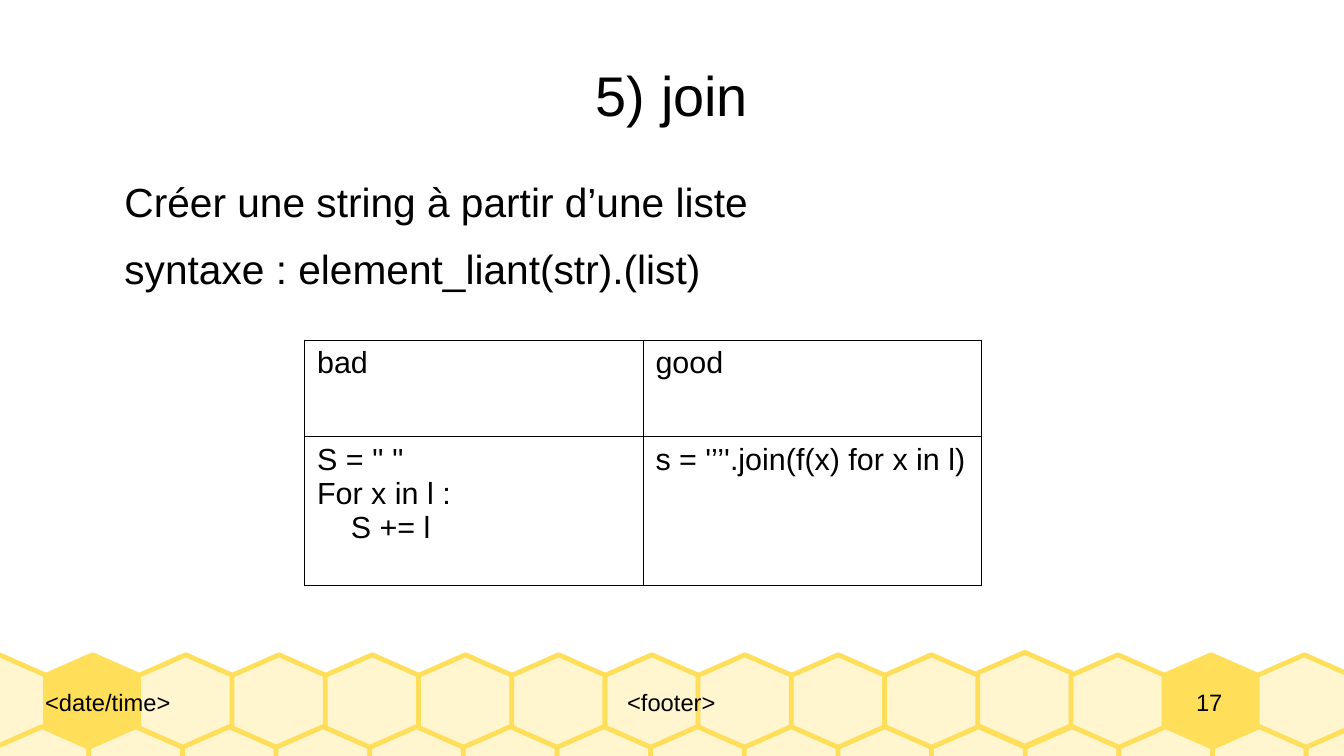
import pptx
import pptx.dml.color
import pptx.enum.text
import pptx.oxml
import pptx.oxml.ns
import pptx.util
from pptx.util import Inches

BLACK = pptx.dml.color.RGBColor(0x00, 0x00, 0x00)
HONEY = pptx.dml.color.RGBColor(0xFF, 0xDE, 0x59)
CREAM = pptx.dml.color.RGBColor(0xFF, 0xF5, 0xCE)
LEFT = pptx.enum.text.PP_ALIGN.LEFT
CENTER = pptx.enum.text.PP_ALIGN.CENTER
TOP = pptx.enum.text.MSO_ANCHOR.TOP
MIDDLE = pptx.enum.text.MSO_ANCHOR.MIDDLE


def write_lines(frame, lines, size, **paragraph_format):
    """Fill a text frame with one paragraph per line, in black Arial."""
    for index, line in enumerate(lines):
        paragraph = frame.paragraphs[0] if index == 0 else frame.add_paragraph()
        paragraph.text = line
        for attribute, value in paragraph_format.items():
            setattr(paragraph, attribute, value)
        font_format = {"name": "Arial", "size": pptx.util.Pt(size)}
        for attribute, value in font_format.items():
            setattr(paragraph.font, attribute, value)
        paragraph.font.color.rgb = BLACK


def add_text(box, lines, size, anchor, **paragraph_format):
    """Add a text box without margins; box is left, top, width, height in inches."""
    frame = slide.shapes.add_textbox(*map(Inches, box)).text_frame
    frame_format = {"word_wrap": True, "vertical_anchor": anchor, "margin_left": 0,
                    "margin_right": 0, "margin_top": 0, "margin_bottom": 0}
    for attribute, value in frame_format.items():
        setattr(frame, attribute, value)
    write_lines(frame, lines, size, **paragraph_format)
    return frame


deck = pptx.Presentation()
deck.slide_width = Inches(11.02)
deck.slide_height = Inches(6.2)
slide = deck.slides.add_slide(deck.slide_layouts[6])

# Honeycomb: two rows of hexagons, the lower one running off the slide
CELLS_PER_ROW = 15
CELL_SIZE = 0.77
HEXAGON = [(0.5, 0), (0, 0.22), (0, 0.78), (0.5, 1), (1, 0.78), (1, 0.22)]
honeycomb_rows = [
    # first left, last left, top, honey cells, raised cells
    (-0.39, 10.31, 5.37, {1, 13}, {11}),
    (-0.04, 10.71, 5.96, set(), set()),
]
for first, last, row_top, honey_cells, raised_cells in honeycomb_rows:
    step = (last - first) / (CELLS_PER_ROW - 1)
    for column in range(CELLS_PER_ROW):
        left = first + column * step
        top = row_top - (0.02 if column in raised_cells else 0)
        corners = [(Inches(left + x * CELL_SIZE), Inches(top + y * CELL_SIZE))
                   for x, y in HEXAGON]
        outline = slide.shapes.build_freeform(*corners[0])
        outline.add_line_segments(corners[1:], close=True)
        hexagon = outline.convert_to_shape()
        hexagon.shadow.inherit = False
        hexagon.fill.solid()
        hexagon.fill.fore_color.rgb = HONEY if column in honey_cells else CREAM
        hexagon.line.color.rgb = HONEY
        hexagon.line.width = pptx.util.Pt(2.83)

# Footer
footer_parts = [
    ("<date/time>", 0.37, 2.63, LEFT),
    ("<footer>", 3, 5.01, CENTER),
    ("17", 9.29, 1.25, CENTER),
]
for label, left, width, alignment in footer_parts:
    add_text((left, 5.37, width, 0.77), [label], 14, MIDDLE, alignment=alignment)

# Title and body
add_text((0.55, 0.25, 9.92, 1.04), ["5) join"], 33, MIDDLE, alignment=CENTER)
body = add_text(
    (0.55, 1.45, 9.92, 1.2),
    ["Créer une string à partir d’une liste", "syntaxe : element_liant(str).(list)"],
    24, TOP, space_after=pptx.util.Pt(10.6))
for paragraph in body.paragraphs:
    paragraph._p.get_or_add_pPr().set("marL", str(Inches(0.47)))

# Comparison table
comparison = [
    [["bad"], ["good"]],
    [["S = '' ''", "For x in l :", "    S += l"], ["s = '’’'.join(f(x) for x in l)"]],
]
table = slide.shapes.add_table(
    2, 2, Inches(2.5), Inches(2.79), Inches(5.55), Inches(2.01)).table
table.first_row = False
table.horz_banding = False
for column in table.columns:
    column.width = Inches(5.55 / 2)
for row, height in zip(table.rows, (0.79, 1.22)):
    row.height = Inches(height)
for row, row_texts in zip(table.rows, comparison):
    for cell, lines in zip(row.cells, row_texts):
        write_lines(cell.text_frame, lines, 18)
        properties = cell._tc.get_or_add_tcPr()
        for side in ("lnL", "lnR", "lnT", "lnB"):
            properties.append(pptx.oxml.parse_xml(
                f'<a:{side} {pptx.oxml.ns.nsdecls("a")} w="{pptx.util.Pt(0.57)}">'
                f'<a:solidFill><a:srgbClr val="{BLACK}"/></a:solidFill></a:{side}>'))
        cell.fill.background()

deck.save("out.pptx")
